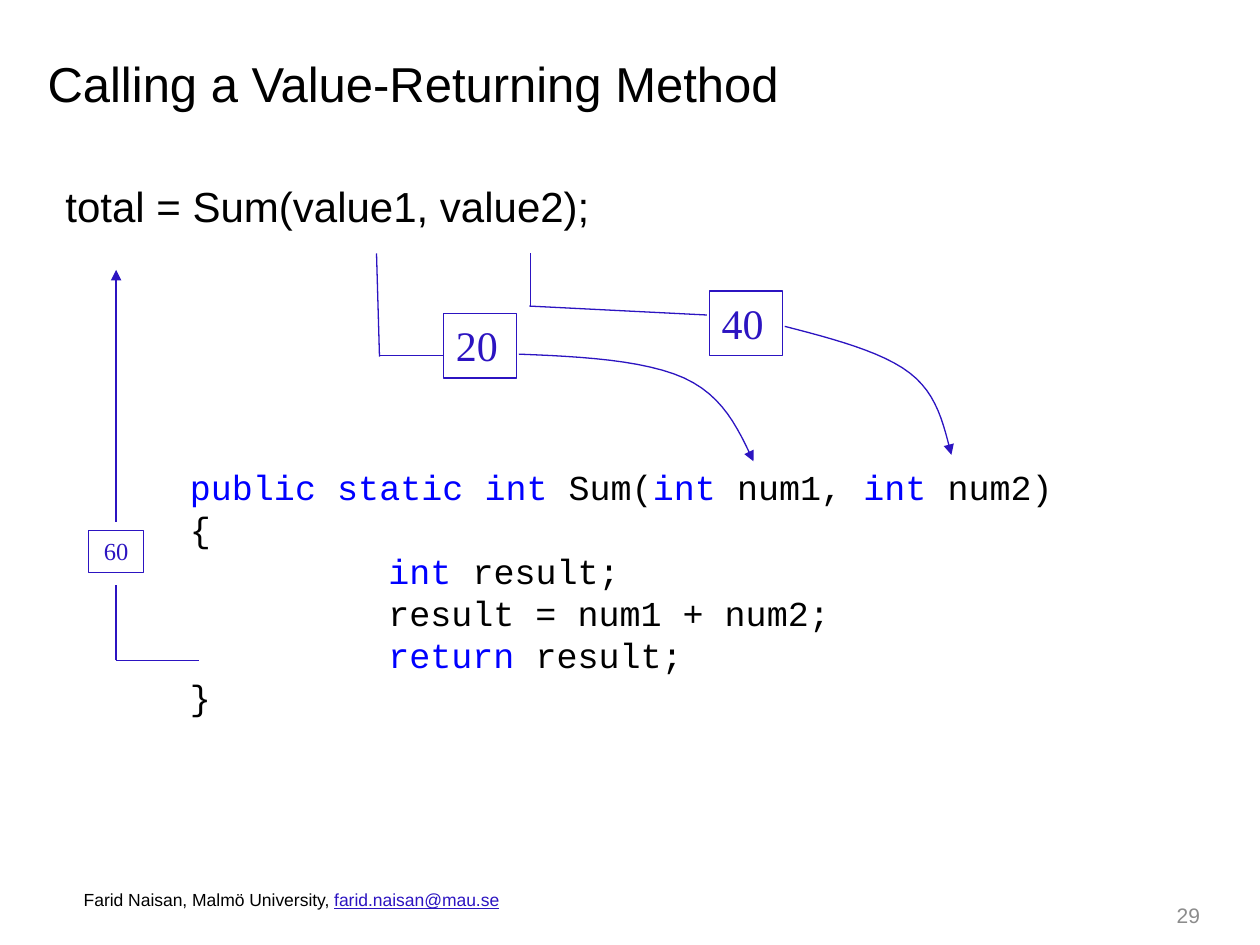
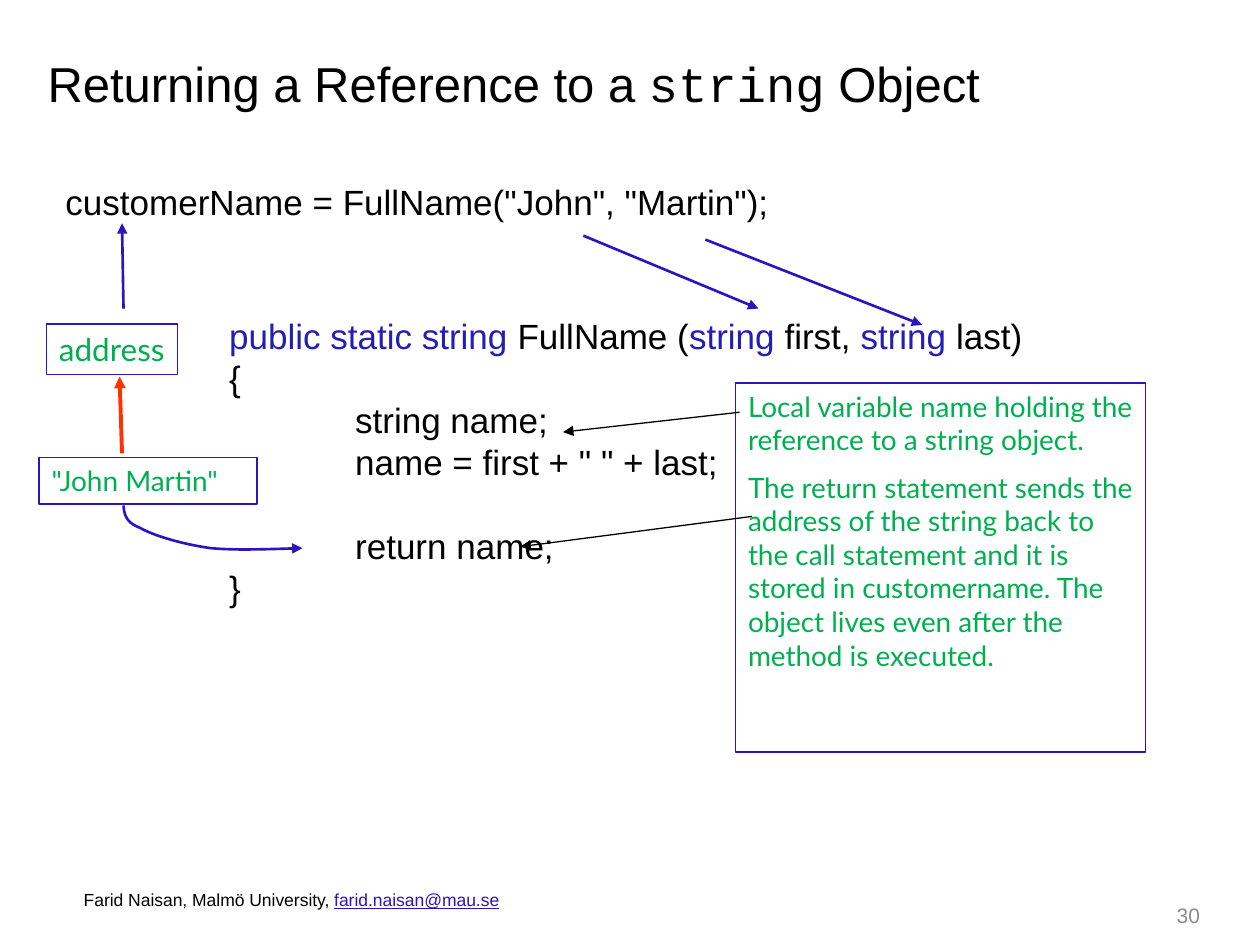
import pptx
import pptx.util
import pptx.dml.color
import pptx.enum.shapes
import pptx.enum.text
import pptx.oxml
import pptx.oxml.ns
from pptx.util import Cm, Pt

COLORS = {"ink": "000000", "violet": "2C14C1", "keyword": "0000FF", "type": "241EB5",
          "green": "00B050", "red": "FF3300", "grey": "8C8C8C"}
ALIGN = pptx.enum.text.PP_ALIGN
ANCHOR = pptx.enum.text.MSO_ANCHOR

TITLE = {"name": "Arial", "size": Pt(28), "color": "ink"}
CALL = {"name": "Arial", "size": Pt(24), "color": "ink"}
SMALL_CALL = CALL | {"size": Pt(20)}
CODE = {"name": "Courier New", "size": Pt(20), "color": "ink"}
FOOTER = {"name": "Arial", "size": Pt(10), "color": "ink"}
NUMBER = {"name": "Arial", "size": Pt(12), "color": "grey"}
VALUE = {"name": "Times New Roman", "size": Pt(24), "color": "violet"}
NOTE = {"name": "Lato", "size": Pt(16), "color": "green"}
LEFT = {"alignment": ALIGN.LEFT}
CENTER = {"alignment": ALIGN.CENTER}
SPACED = {"alignment": ALIGN.LEFT, "space_before": Pt(8)}
CODE_LINE = {"alignment": ALIGN.LEFT, "line_spacing": Pt(24)}


def write_text(shape, lines, style, accent=None, layout=LEFT, anchor=ANCHOR.TOP, wrap=True):
    """Fill a shape with (text, indent) lines; text between bars takes the accent style."""
    frame = shape.text_frame
    frame.word_wrap, frame.vertical_anchor = wrap, anchor
    for index, (line, indent) in enumerate(lines):
        paragraph = frame.add_paragraph() if index else frame.paragraphs[0]
        for name, value in layout.items():
            setattr(paragraph, name, value)
        if indent:
            paragraph._p.get_or_add_pPr().set("marL", str(Cm(indent)))
        for part, words in enumerate(line.split("|")):
            if not words:
                continue
            run = paragraph.add_run()
            run.text = words
            look = style | (accent or {}) if part % 2 else style
            for name, value in look.items():
                if name == "color":
                    run.font.color.rgb = pptx.dml.color.RGBColor.from_string(COLORS[value])
                else:
                    setattr(run.font, name, value)
    return frame


def style_line(shape, color, width, arrow=False):
    """Set colour, width and arrowhead of an outline and drop its shadow."""
    shape.line.color.rgb = pptx.dml.color.RGBColor.from_string(COLORS[color])
    shape.line.width = Pt(width)
    if arrow:
        tail = pptx.oxml.parse_xml('<a:tailEnd %s type="triangle"/>' % pptx.oxml.ns.nsdecls("a"))
        shape.line._get_or_add_ln().append(tail)
    effects = pptx.oxml.parse_xml("<a:effectLst %s/>" % pptx.oxml.ns.nsdecls("a"))
    shape._element.spPr.append(effects)


# All places are in centimetres.
# boxes: place, lines, style, paragraph layout, wrap
# strokes: points, colour, width, arrow; curves: start, then three points per Bezier piece
lessons = [
    {
        "title": "Calling a Value-Returning Method",
        "call": ("total = Sum(value1, value2);", CALL),
        "code_at": (3.58, 9.25, 20, 5.6),
        "code_style": CODE,
        "keyword": {"color": "keyword"},
        "code": [("|public| |static| |int| Sum(|int| num1, |int| num2)", 0), ("{", 0),
                 ("|int| result;", 4), ("result = num1 + num2;", 4),
                 ("|return| result;", 4), ("}", 0)],
        "boxes": [
            ((8.94, 6.32, 1.47, 1.3), ["20"], VALUE, LEFT, True),
            ((14.3, 5.87, 1.47, 1.3), ["40"], VALUE, LEFT, True),
            ((1.78, 10.69, 1.12, 0.86), ["60"], VALUE | {"size": Pt(14)}, CENTER, True),
        ],
        "strokes": [
            ((7.59, 5.11, 7.65, 7.19), "violet", 0.75, False),
            ((7.67, 7.16, 8.94, 7.16), "violet", 0.75, False),
            ((10.69, 5.11, 10.69, 6.17), "violet", 0.75, False),
            ((10.67, 6.17, 14.25, 6.35), "violet", 0.75, False),
            ((4.01, 13.31, 2.34, 13.31), "violet", 0.75, False),
            ((2.34, 13.31, 2.34, 11.79), "violet", 0.75, False),
            ((2.34, 10.52, 2.34, 5.44), "violet", 0.75, True),
        ],
        "curve_width": 0.75,
        "curves": [
            [(10.46, 7.14), (11.73, 7.19), (12.98, 7.26), (13.79, 7.62),
             (14.58, 7.98), (14.88, 8.64), (15.19, 9.3)],
            [(15.82, 6.58), (16.79, 6.83), (17.78, 7.09), (18.34, 7.52),
             (18.9, 7.95), (19.02, 8.56), (19.18, 9.17)],
        ],
    },
    {
        "title": "Returning a Reference to a |string| Object",
        "call": ('customerName = FullName("John", "Martin");', SMALL_CALL),
        "code_at": (4.37, 6.22, 18, 6.2),
        "code_style": SMALL_CALL,
        "keyword": {"color": "type"},
        "code": [("|public static string |FullName (|string| first, |string| last)", 0), ("{", 0),
                 ("string name;", 2.54), ('name = first + " " + last;', 2.54),
                 ("return name;", 2.54), ("}", 0)],
        "gap_before": 4,
        "boxes": [
            ((0.94, 6.53, 2.64, 1.02), ["address"], NOTE | {"size": Pt(18)}, LEFT, False),
            ((0.79, 9.22, 4.39, 0.94), ['"John Martin"'], NOTE, LEFT, True),
            ((14.83, 7.72, 8.26, 7.44),
             ["Local variable name holding the reference to a string object.",
              "The return statement sends the address of the string back to the call statement "
              "and it is stored in customername. The object lives even after the method is "
              "executed."], NOTE, SPACED, True),
        ],
        "strokes": [
            ((2.46, 9.14, 2.41, 7.59), "red", 2.25, True),
            ((2.49, 6.22, 2.46, 4.5), "violet", 1.5, True),
            ((11.76, 4.75, 15.29, 6.22), "violet", 1.5, True),
            ((14.22, 4.83, 18.59, 6.55), "violet", 1.5, True),
            ((14.91, 8.31, 11.35, 8.71), "ink", 0.75, True),
            ((15.16, 10.41, 10.49, 11.02), "ink", 0.75, True),
        ],
        "curve_width": 1.5,
        "curves": [
            [(2.49, 10.19), (2.51, 10.34), (2.51, 10.52), (2.82, 10.64), (3.1, 10.8),
             (3.68, 10.97), (4.24, 11.05), (4.78, 11.1), (5.44, 11.07), (6.1, 11.05)],
        ],
    },
]

deck = pptx.Presentation()
deck.slide_width, deck.slide_height = Cm(25.4), Cm(19.05)

for page, lesson in enumerate(lessons, start=29):
    shapes = deck.slides.add_slide(deck.slide_layouts[6]).shapes

    title = shapes.add_textbox(Cm(0.71), Cm(0.97), Cm(23.72), Cm(1.4))
    write_text(title, [(lesson["title"], 0)], TITLE, {"name": "Courier New"}, anchor=ANCHOR.MIDDLE)

    call_text, call_style = lesson["call"]
    call = shapes.add_textbox(Cm(1.07), Cm(3.51), Cm(23.14), Cm(1.4))
    write_text(call, [(call_text, 0)], call_style,
               layout={"line_spacing": Pt(call_style["size"].pt * 1.2)})

    code = shapes.add_textbox(*map(Cm, lesson["code_at"]))
    code_frame = write_text(code, lesson["code"], lesson["code_style"], lesson["keyword"], CODE_LINE)
    if "gap_before" in lesson:
        code_frame.paragraphs[lesson["gap_before"]].space_before = Pt(24)

    for place, lines, style, layout, wrap in lesson["boxes"]:
        box = shapes.add_shape(pptx.enum.shapes.MSO_SHAPE.RECTANGLE, *map(Cm, place))
        box.fill.background()
        style_line(box, "violet", 0.75)
        write_text(box, [(line, 0) for line in lines], style, layout=layout, wrap=wrap)

    for ends, color, width, arrow in lesson["strokes"]:
        stroke = shapes.add_connector(pptx.enum.shapes.MSO_CONNECTOR.STRAIGHT, *map(Cm, ends))
        style_line(stroke, color, width, arrow)

    for knots in lesson["curves"]:
        steps = 12
        points = []
        for first in range(0, len(knots) - 1, 3):
            for step in range(1, steps + 1):
                t = step / steps
                weights = ((1 - t) ** 3, 3 * t * (1 - t) ** 2, 3 * t * t * (1 - t), t ** 3)
                piece = knots[first:first + 4]
                points.append(tuple(Cm(sum(w * knot[axis] for w, knot in zip(weights, piece)))
                                    for axis in (0, 1)))
        outline = shapes.build_freeform(Cm(knots[0][0]), Cm(knots[0][1]))
        outline.add_line_segments(points, close=False)
        curve = outline.convert_to_shape()
        curve.fill.background()
        style_line(curve, "violet", lesson["curve_width"], True)

    footer = shapes.add_textbox(Cm(1), Cm(17.68), Cm(9.75), Cm(0.79))
    write_text(footer, [("Farid Naisan, Malmö University, |farid.naisan@mau.se|", 0)], FOOTER,
               {"color": "violet", "underline": True}, CENTER, ANCHOR.BOTTOM)

    number = shapes.add_textbox(Cm(22.56), Cm(17.93), Cm(1.88), Cm(1.02))
    write_text(number, [(str(page), 0)], NUMBER, layout={"alignment": ALIGN.RIGHT},
               anchor=ANCHOR.MIDDLE)

deck.save("out.pptx")
